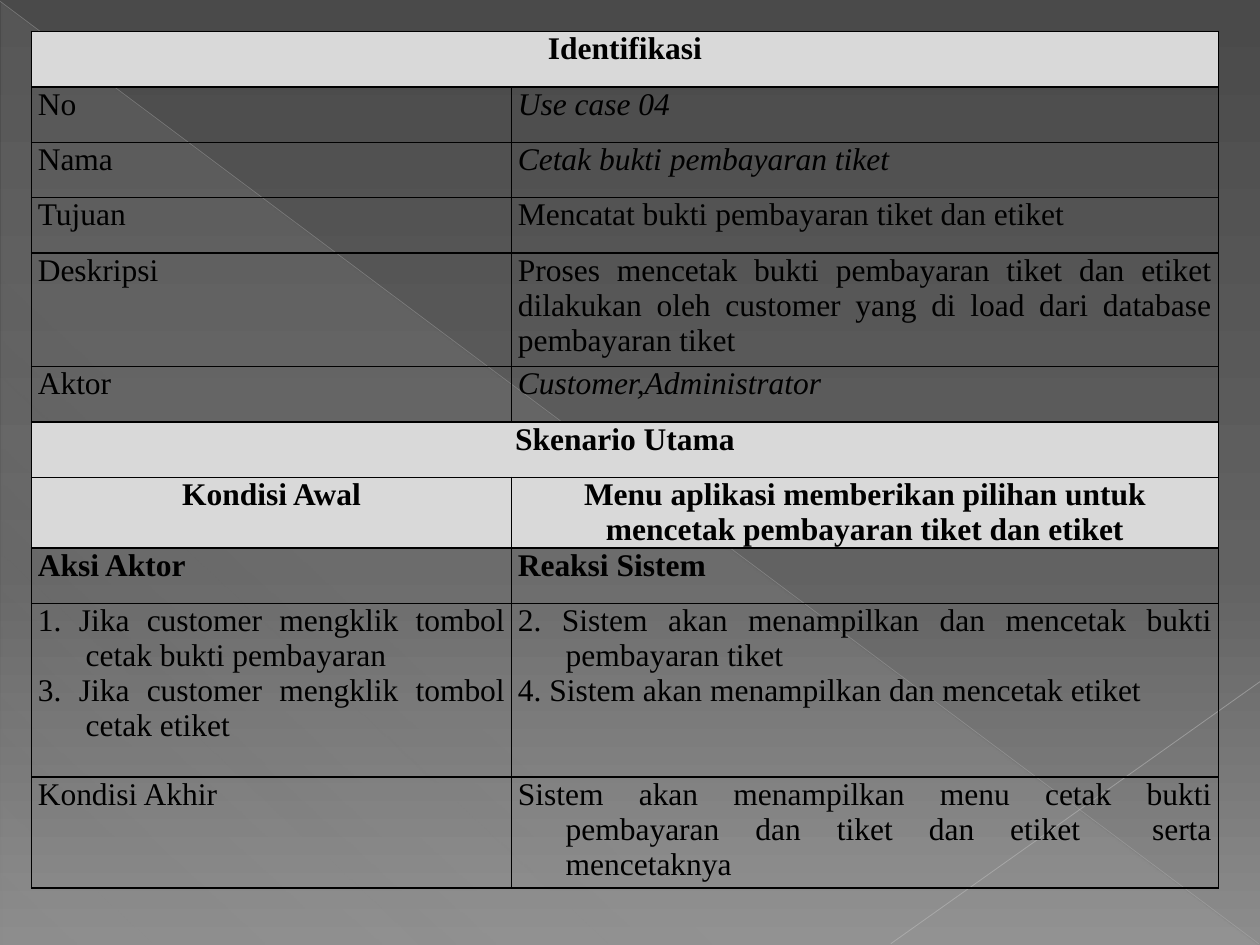
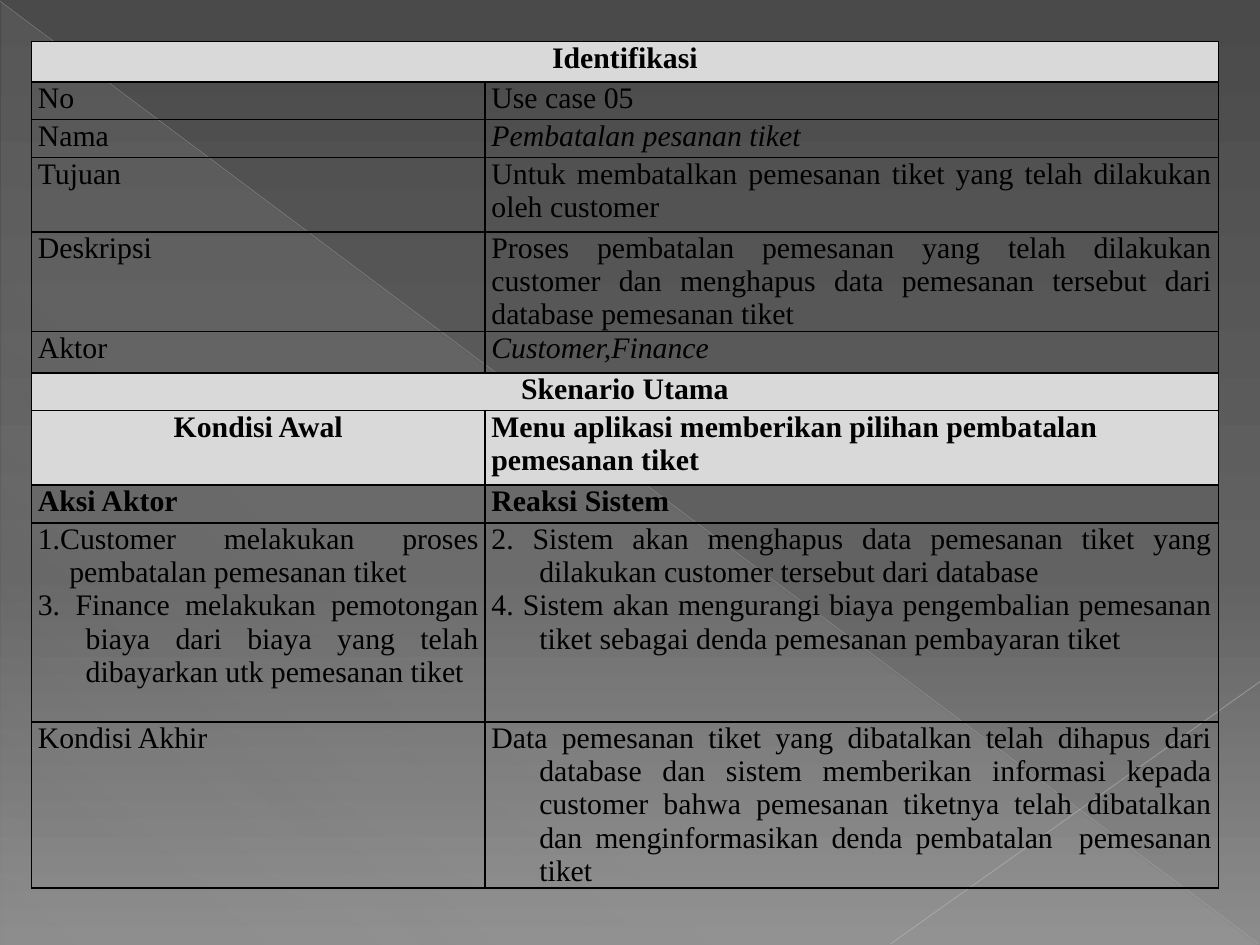
from pptx import Presentation
from pptx.dml.color import RGBColor
from pptx.enum.shapes import MSO_CONNECTOR, MSO_SHAPE
from pptx.enum.text import PP_ALIGN
from pptx.oxml.ns import qn
from pptx.util import Inches, Pt
from lxml.etree import SubElement

FONT = "Times New Roman"
COLORS = {
    "top": "4A4A4A", "middle": "626262", "base": "8C8C8C",
    "wedge": "D2D2D2", "fall": "BFBFBF", "rise": "C6C6C6",
    "ink": "000000", "band": "D9D9D9",
}
BACK = [(0, "top", 100), (60, "middle", 100), (100, "base", 100)]
WEDGE = [(0, "wedge", 10), (70, "wedge", 8), (100, "wedge", 1)]
HANG = 0.38
LEFT, CENTER, FULL = PP_ALIGN.LEFT, PP_ALIGN.CENTER, PP_ALIGN.JUSTIFY
LABELS = ["Identifikasi", "No", "Nama ", "Tujuan", "Deskripsi", "Aktor",
          "Skenario Utama", "Kondisi Awal", "Aksi Aktor", None, "Kondisi Akhir"]
SPANS = (0, 6)
BANDS = (0, 6, 7)
BOLD = (0, 6, 7, 8)
STEPS, END = 9, 10

PRINT = {
    "box": (0.25, 0.25), "size": 18, "cols": [3.81, 5.61],
    "rows": [0.44, 0.44, 0.44, 0.44, 0.9, 0.44, 0.44, 0.56, 0.44, 1.38, 0.88],
    "italic": (1, 2, 5), "menu": CENTER, "hang": HANG,
    "steps": ["1. Jika customer mengklik tombol cetak bukti pembayaran",
              "3. Jika customer mengklik tombol cetak etiket"],
    "values": [
        None, "Use case 04", "Cetak bukti pembayaran tiket",
        "Mencatat bukti pembayaran tiket dan etiket",
        "Proses mencetak bukti pembayaran tiket dan etiket dilakukan oleh "
        "customer yang di load dari database pembayaran tiket",
        "Customer,Administrator", None,
        "Menu aplikasi memberikan pilihan untuk mencetak pembayaran tiket dan etiket",
        "Reaksi Sistem",
        ["2. Sistem akan menampilkan dan mencetak bukti pembayaran tiket",
         "4. Sistem akan menampilkan dan mencetak etiket"],
        "Sistem akan menampilkan menu cetak bukti pembayaran dan tiket dan "
        "etiket  serta mencetaknya",
    ],
}
CANCEL = {
    "box": (0.25, 0.33), "size": 17, "cols": [3.6, 5.82],
    "rows": [0.32, 0.3, 0.3, 0.59, 0.79, 0.33, 0.3, 0.59, 0.3, 1.58, 1.32],
    "italic": (2, 5), "menu": LEFT, "hang": 0.25,
    "steps": ["1.Customer melakukan proses pembatalan pemesanan tiket",
              "3. Finance melakukan pemotongan biaya dari biaya yang telah "
              "dibayarkan utk pemesanan tiket"],
    "values": [
        None, "Use case 05", "Pembatalan pesanan tiket",
        "Untuk membatalkan pemesanan tiket yang telah dilakukan oleh customer",
        "Proses pembatalan pemesanan yang telah dilakukan customer dan "
        "menghapus data pemesanan tersebut dari database pemesanan tiket",
        "Customer,Finance", None,
        "Menu aplikasi memberikan pilihan pembatalan pemesanan tiket",
        "Reaksi Sistem",
        ["2. Sistem akan menghapus data pemesanan tiket yang dilakukan "
         "customer tersebut dari database",
         "4. Sistem akan mengurangi biaya pengembalian pemesanan tiket "
         "sebagai denda pemesanan pembayaran tiket"],
        "Data pemesanan tiket yang dibatalkan telah dihapus dari database dan "
        "sistem memberikan informasi kepada customer bahwa pemesanan tiketnya "
        "telah dibatalkan dan menginformasikan denda pembatalan  pemesanan tiket",
    ],
}


def color(name):
    return RGBColor.from_string(COLORS[name])


def tint(parent, name, alpha=100):
    node = SubElement(parent, qn("a:srgbClr"), val=COLORS[name])
    if alpha < 100:
        SubElement(node, qn("a:alpha"), val=str(alpha * 1000))


def blend(fill, root, stops, angle):
    fill.gradient()
    fill.gradient_angle = 360 - angle
    group = root.find(".//" + qn("a:gsLst"))
    for old in list(group):
        group.remove(old)
    for place, name, alpha in stops:
        tint(SubElement(group, qn("a:gs"), pos=str(place * 1000)), name, alpha)


def stroke(slide, start, end, name, width, alpha):
    line = slide.shapes.add_connector(
        MSO_CONNECTOR.STRAIGHT, *map(Inches, start + end))
    line.line.width = Pt(width)
    line.line.color.rgb = color(name)
    tone = line.element.spPr.find(".//" + qn("a:srgbClr"))
    SubElement(tone, qn("a:alpha"), val=str(alpha * 1000))
    SubElement(line.element.spPr, qn("a:effectLst"))


def backdrop(slide, width, height):
    blend(slide.background.fill, slide.element, BACK, 90)
    wedge = slide.shapes.add_shape(
        MSO_SHAPE.RIGHT_TRIANGLE, Inches(0.01), Inches(0.02),
        Inches(width - 0.02), Inches(height - 0.02))
    wedge.shadow.inherit = False
    wedge.line.fill.background()
    blend(wedge.fill, wedge.element.spPr, WEDGE, 133)
    low = height - 0.01
    stroke(slide, (0, 0.01), (width - 0.01, low), "fall", 0.39, 35)
    stroke(slide, (width, 5.41), (7.07, low), "rise", 0.47, 45)


def write(para, text, size=18, bold=False, italic=False, align=FULL, hang=0):
    para.alignment = align
    if hang:
        props = para._p.get_or_add_pPr()
        props.set("marL", str(Inches(hang)))
        props.set("indent", str(-Inches(hang)))
    run = para.add_run()
    run.text = text
    font = run.font
    font.name, font.size = FONT, Pt(size)
    font.bold, font.italic = bold, italic
    font.color.rgb = color("ink")


def frame(cell, band):
    cell.margin_left = cell.margin_right = Inches(0.05)
    cell.margin_top = cell.margin_bottom = 0
    props = cell._tc.get_or_add_tcPr()
    for side in ("lnL", "lnR", "lnT", "lnB"):
        edge = SubElement(props, qn("a:" + side), w=str(Pt(1)))
        tint(SubElement(edge, qn("a:solidFill")), "ink")
    if band:
        cell.fill.solid()
        cell.fill.fore_color.rgb = color("band")
    else:
        cell.fill.background()


def fill_cell(cell, texts, hangs, **style):
    for i, (text, hang) in enumerate(zip(texts, hangs)):
        paras = cell.text_frame
        para = paras.add_paragraph() if i else paras.paragraphs[0]
        write(para, text, hang=hang, **style)


def scenario(slide, case):
    left, top = case["box"]
    rows, cols = case["rows"], case["cols"]
    table = slide.shapes.add_table(
        len(rows), len(cols), Inches(left), Inches(top),
        Inches(sum(cols)), Inches(sum(rows))).table
    table.first_row = table.horz_banding = False
    for col, width in zip(table.columns, cols):
        col.width = Inches(width)
    for r, (label, value) in enumerate(zip(LABELS, case["values"])):
        table.rows[r].height = Inches(rows[r])
        one, two = table.cell(r, 0), table.cell(r, 1)
        for cell in (one, two):
            frame(cell, r in BANDS)
        style = {"size": case["size"], "bold": r in BOLD}
        if r == STEPS:
            fill_cell(one, case["steps"], [case["hang"], HANG], **style)
            fill_cell(two, value, [HANG, HANG], **style)
            continue
        side = CENTER if r in BANDS else FULL
        fill_cell(one, [label], [0], align=side, **style)
        if r in SPANS:
            one.merge(two)
            continue
        fill_cell(two, [value], [HANG if r == END else 0],
                  align=case["menu"] if r in BANDS else FULL,
                  italic=r in case["italic"], **style)


def main():
    deck = Presentation()
    width, height = 10, 7.5
    deck.slide_width, deck.slide_height = Inches(width), Inches(height)
    for case in (PRINT, CANCEL):
        slide = deck.slides.add_slide(deck.slide_layouts[6])
        backdrop(slide, width, height)
        scenario(slide, case)
    deck.save("out.pptx")


if __name__ == "__main__":
    main()
